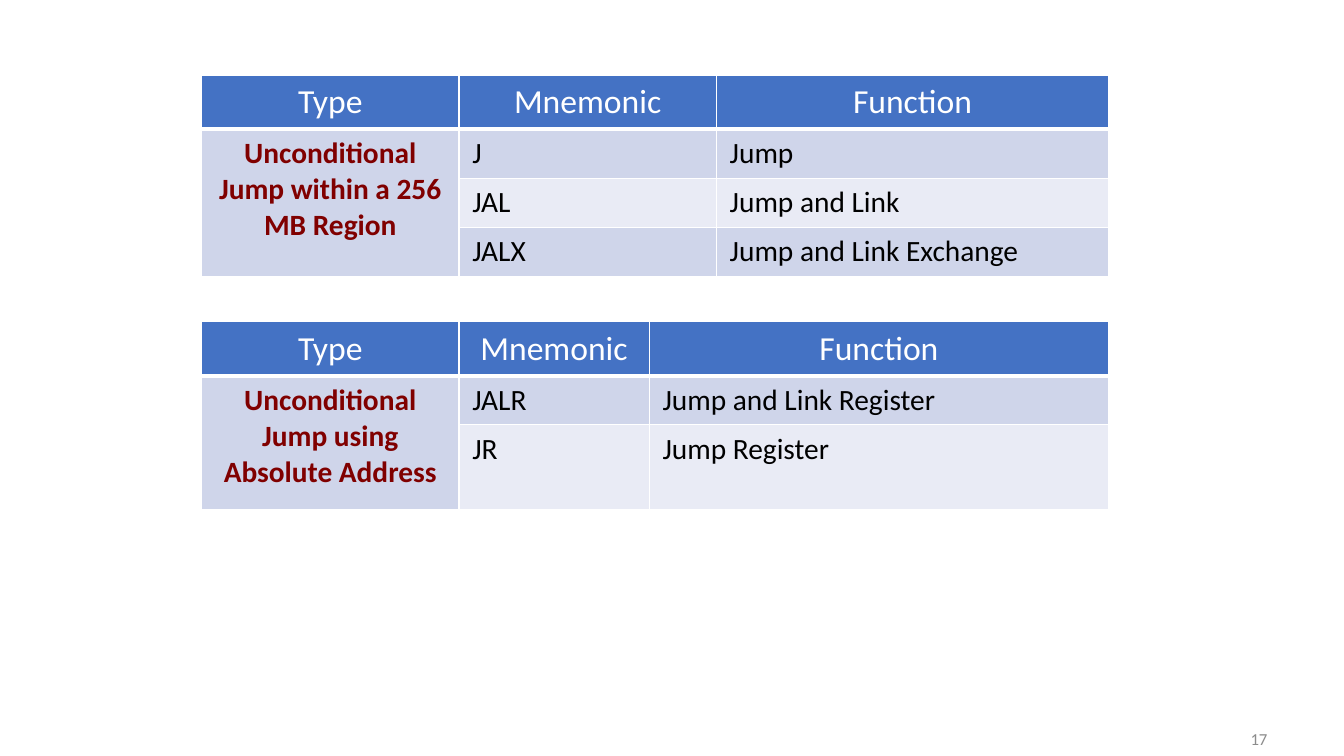
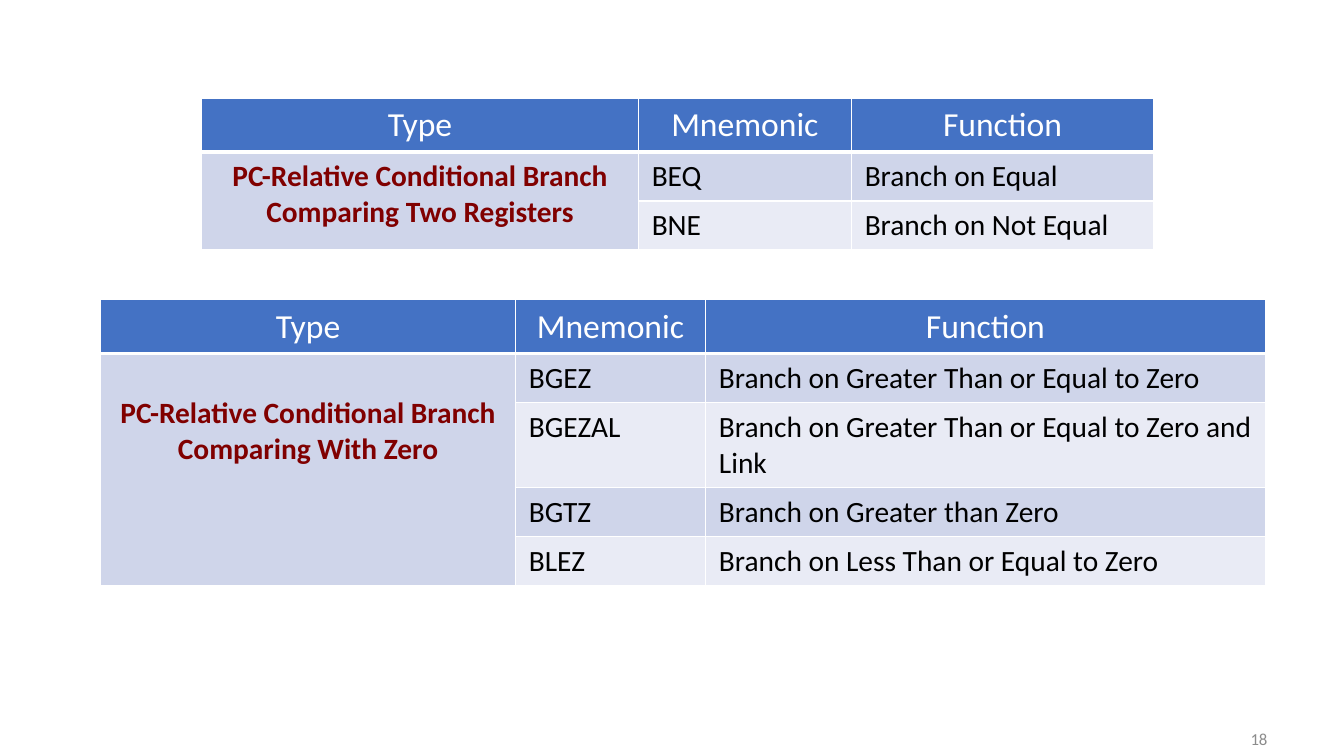
from pptx import Presentation
from pptx.dml.color import RGBColor
from pptx.enum.text import MSO_ANCHOR as Anchor, PP_ALIGN as Align
from pptx.oxml import parse_xml
from pptx.oxml.ns import nsdecls
from pptx.util import Pt

PX = 6096
WHITE, BLUE, MAROON, BLACK, GREY = "FFFFFF", "4472C4", "800000", "000000", "8C8C8C"
BANDS = ["CFD5EA", "E9EBF5"]
HEADINGS = ["Type", "Mnemonic", "Function"]
HEADER_H, LINE_H, PAD_X, PAD_Y = 80, 73, 20, 10
WRAPPED_H, TEXT_LINE = 127, 53
MARGINS = {"margin_left": PAD_X, "margin_right": PAD_X, "margin_top": PAD_Y, "margin_bottom": PAD_Y}
HEADER = {"size": Pt(24), "bold": False, "color": WHITE, "align": Align.CENTER}
TYPE = {"size": Pt(21), "bold": True, "color": MAROON, "align": Align.CENTER}
BODY = {"size": Pt(21), "bold": False, "color": BLACK, "align": Align.LEFT}
NUMBER = {"size": Pt(12), "bold": False, "color": GREY, "align": Align.RIGHT}


def write(frame, text, style):
    paragraph = frame.paragraphs[0]
    paragraph.alignment = style["align"]
    run = paragraph.add_run()
    run.text = text
    run.font.name = "Calibri"
    run.font.color.rgb = RGBColor.from_string(style["color"])
    for key in ("size", "bold"):
        setattr(run.font, key, style[key])


def dress(cell, fill, bottom_width):
    cell.fill.solid()
    cell.fill.fore_color.rgb = RGBColor.from_string(fill)
    for key, value in MARGINS.items():
        setattr(cell, key, value * PX)
    properties = cell._tc.get_or_add_tcPr()
    for position, side in enumerate("LRTB"):
        width = Pt(bottom_width if side == "B" else 1)
        properties.insert(position, parse_xml(
            f'<a:ln{side} {nsdecls("a")} w="{width}"><a:solidFill>'
            f'<a:srgbClr val="{WHITE}"/></a:solidFill></a:ln{side}>'))


slides = [
    ("17", [
        {"at": (300, 112), "columns": [383, 383, 584], "tall": None, "drop": 0,
         "type": "Unconditional Jump within a 256 MB Region",
         "instructions": [("J", "Jump"), ("JAL", "Jump and Link"),
                          ("JALX", "Jump and Link Exchange")]},
        {"at": (300, 479), "columns": [383, 283, 684], "tall": 2, "drop": 0,
         "type": "Unconditional Jump using Absolute Address",
         "instructions": [("JALR", "Jump and Link Register"), ("JR", "Jump Register")]},
    ]),
    ("18", [
        {"at": (300, 146), "columns": [650, 317, 450], "tall": None, "drop": 0,
         "type": "PC-Relative Conditional Branch Comparing Two Registers",
         "instructions": [("BEQ", "Branch on Equal"), ("BNE", "Branch on Not Equal")]},
        {"at": (150, 446), "columns": [617, 283, 833], "tall": 2, "drop": TEXT_LINE,
         "type": "PC-Relative Conditional Branch Comparing With Zero",
         "instructions": [("BGEZ", "Branch on Greater Than or Equal to Zero"),
                          ("BGEZAL", "Branch on Greater Than or Equal to Zero and Link"),
                          ("BGTZ", "Branch on Greater than Zero"),
                          ("BLEZ", "Branch on Less Than or Equal to Zero")]},
    ]),
]

prs = Presentation()
prs.slide_width, prs.slide_height = 2000 * PX, 1125 * PX

for number, groups in slides:
    slide = prs.slides.add_slide(prs.slide_layouts[6])
    footer = slide.shapes.add_textbox(*(v * PX for v in (1434, 1070, 467, 60))).text_frame
    footer.word_wrap = True
    footer.vertical_anchor = Anchor.MIDDLE
    write(footer, number, NUMBER)

    for group in groups:
        rows = [HEADINGS] + [("", *pair) for pair in group["instructions"]]
        heights = [HEADER_H] + [WRAPPED_H if r == group["tall"] else LINE_H
                                for r in range(1, len(rows))]
        bounds = (*group["at"], sum(group["columns"]), sum(heights))
        table = slide.shapes.add_table(len(rows), 3, *(v * PX for v in bounds)).table
        for column, width in zip(table.columns, group["columns"]):
            column.width = width * PX
        for r, (texts, height) in enumerate(zip(rows, heights)):
            table.rows[r].height = height * PX
            for c, text in enumerate(texts):
                cell = table.cell(r, c)
                band = BANDS[0] if c == 0 else BANDS[(r - 1) % 2]
                dress(cell, band if r else BLUE, 1 if r else 3)
                if text:
                    write(cell.text_frame, text, BODY if r else HEADER)
        type_cell = table.cell(1, 0)
        type_cell.merge(table.cell(len(rows) - 1, 0))
        type_cell.margin_top = (PAD_Y + group["drop"]) * PX
        write(type_cell.text_frame, group["type"], TYPE)

prs.save("out.pptx")
